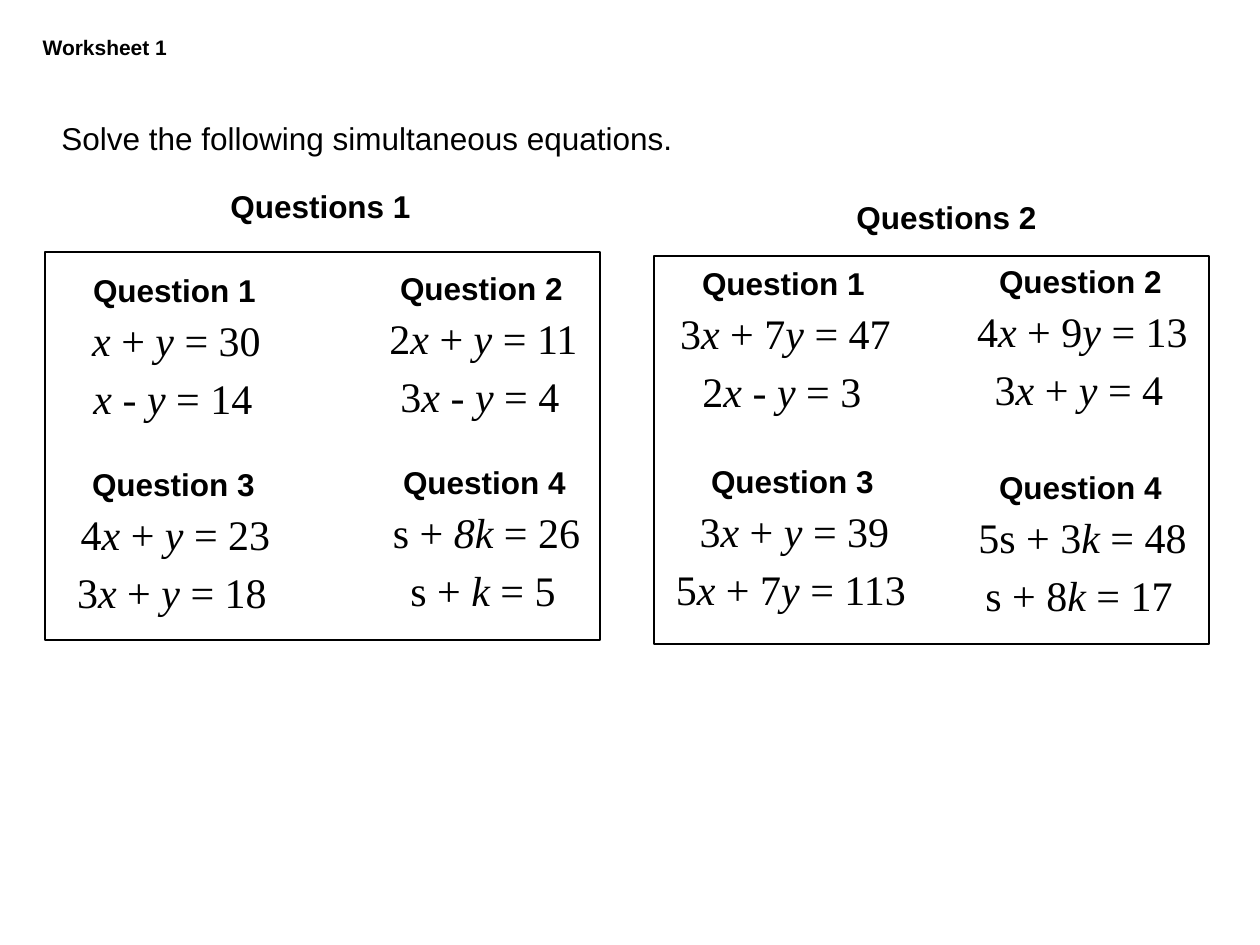
from dataclasses import dataclass

import pptx
import pptx.dml.color
import pptx.enum.shapes
import pptx.enum.text
import pptx.util

BLACK = pptx.dml.color.RGBColor(0, 0, 0)
PIXELS_PER_INCH = 126
SANS, SERIF = "Arial", "Times New Roman"
LEFT = pptx.enum.text.PP_ALIGN.LEFT
CENTER = pptx.enum.text.PP_ALIGN.CENTER


@dataclass(frozen=True)
class Area:
    left: int
    top: int
    width: int
    height: int


@dataclass(frozen=True)
class Style:
    font: str
    size: int
    bold: bool = False
    alignment: pptx.enum.text.PP_ALIGN = LEFT


@dataclass(frozen=True)
class Question:
    left: int
    top: int
    first: str  # asterisks enclose italic text
    second: str


@dataclass(frozen=True)
class QuestionSet:
    heading: Area
    frame: Area
    questions: tuple[Question, ...]


WORKSHEET = Style(SANS, 12, bold=True)
INSTRUCTION = Style(SANS, 18)
HEADING = Style(SANS, 18, bold=True)
EQUATION = Style(SERIF, 24, alignment=CENTER)

QUESTION_SETS = (
    QuestionSet(Area(218, 181, 224, 50), Area(45, 252, 555, 388), (
        Question(45, 265, "*x* +* y* = 30", "*x* -* y* = 14"),
        Question(352, 263, "2*x* +* y* = 11", "3*x* -* y* = 4"),
        Question(44, 459, "4*x* +* y* = 23", "3*x* +* y* = 18"),
        Question(355, 457, "s +* 8k* = 26", "s +* k* = 5"),
    )),
    QuestionSet(Area(844, 192, 224, 50), Area(654, 256, 555, 388), (
        Question(654, 258, "3*x* + 7*y* = 47", "2*x* -* y* = 3"),
        Question(951, 256, "4*x* + 9*y* = 13", "3*x* +* y* = 4"),
        Question(663, 456, "3*x* +* y* = 39", "5*x* + 7*y* = 113"),
        Question(951, 462, "5s + 3*k* = 48", "s + 8*k* = 17"),
    )),
)


def px(length: int) -> int:
    return pptx.util.Inches(length / PIXELS_PER_INCH)


def place(shape, area: Area) -> None:
    shape.left, shape.top = px(area.left), px(area.top)
    shape.width, shape.height = px(area.width), px(area.height)


def write_text(shape, text: str, style: Style) -> None:
    frame = shape.text_frame
    frame.word_wrap = True
    frame.auto_size = pptx.enum.text.MSO_AUTO_SIZE.NONE
    frame.vertical_anchor = pptx.enum.text.MSO_ANCHOR.TOP
    paragraph = frame.paragraphs[0]
    paragraph.alignment = style.alignment
    paragraph.font.name = style.font
    paragraph.font.size = pptx.util.Pt(style.size)
    paragraph.font.bold = style.bold
    paragraph.font.color.rgb = BLACK
    for index, part in enumerate(text.split("*")):
        if part:
            run = paragraph.add_run()
            run.text = part
            run.font.italic = index % 2 == 1


def add_text(slide, area: Area, text: str, style: Style):
    shape = slide.shapes.add_textbox(0, 0, 0, 0)
    place(shape, area)
    write_text(shape, text, style)
    return shape


def add_question(slide, number: int, question: Question) -> None:
    left, top = question.left, question.top
    heading = add_text(slide, Area(left, top, 248, 50), f"Question {number}", HEADING)
    heading.text_frame.margin_left = px(48)
    add_text(slide, Area(left - 45, top + 43, 353, 63), question.first, EQUATION)
    add_text(slide, Area(left - 30, top + 101, 316, 63), question.second, EQUATION)


def add_frame(slide, area: Area) -> None:
    shape = slide.shapes.add_shape(pptx.enum.shapes.MSO_SHAPE.RECTANGLE, 0, 0, 0, 0)
    place(shape, area)
    shape.shadow.inherit = False
    shape.fill.background()
    shape.line.color.rgb = BLACK
    shape.line.width = pptx.util.Pt(0.75)


def main() -> None:
    presentation = pptx.Presentation()
    presentation.slide_width, presentation.slide_height = px(1260), px(945)
    slide = presentation.slides.add_slide(presentation.slide_layouts[5])

    # Title and instruction
    place(slide.shapes.title, Area(30, 28, 224, 38))
    write_text(slide.shapes.title, "Worksheet 1", WORKSHEET)
    add_text(slide, Area(49, 113, 658, 50),
             "Solve the following simultaneous equations.", INSTRUCTION)

    # Two framed sets of four questions
    for set_number, question_set in enumerate(QUESTION_SETS, start=1):
        add_text(slide, question_set.heading, f"Questions {set_number}", HEADING)
        for number, question in enumerate(question_set.questions, start=1):
            add_question(slide, number, question)
        add_frame(slide, question_set.frame)

    presentation.save("out.pptx")


if __name__ == "__main__":
    main()
